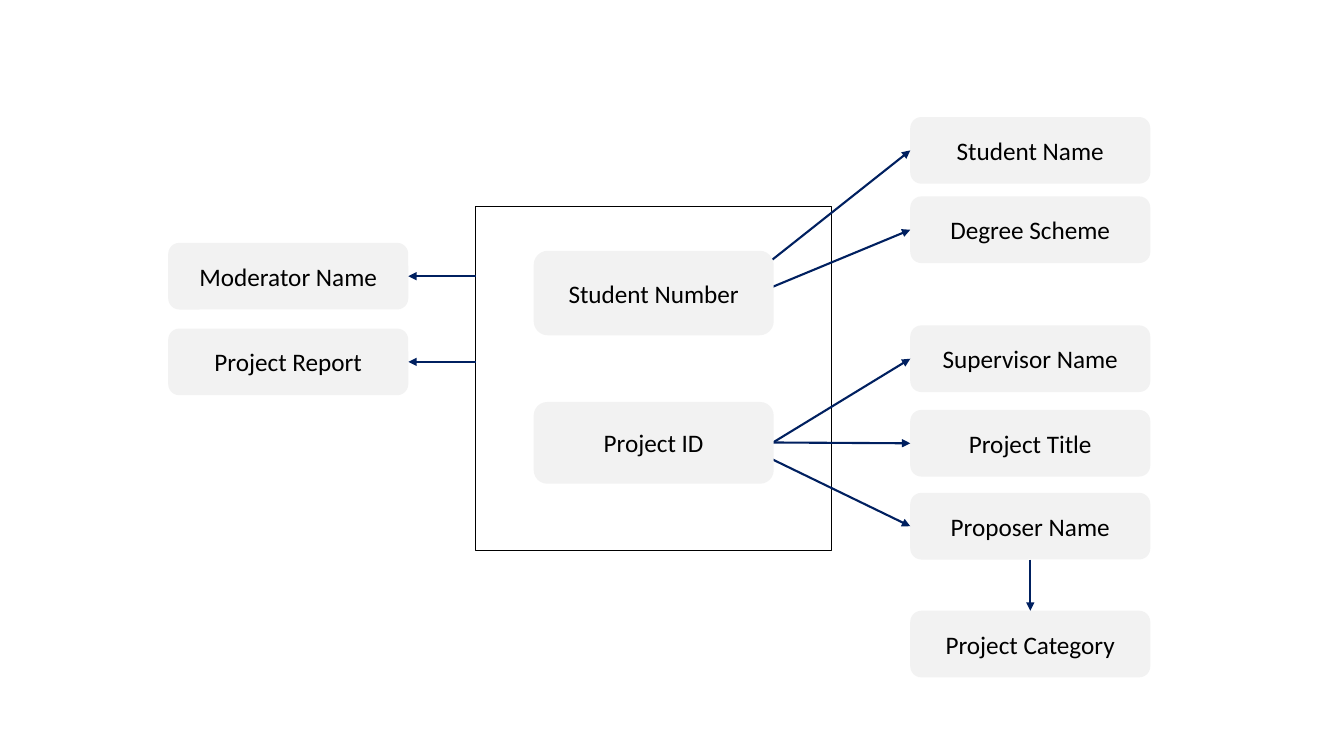
"""Build a dependency diagram of student and project attributes."""
from lxml import etree
from pptx import Presentation
from pptx import util as u
from pptx.dml.color import RGBColor
from pptx.enum import shapes, text
from pptx.oxml.ns import qn

COLOURS = {"box": "F2F2F2", "text": "000000", "frame": "000000", "arrow": "002060"}
BOX_W, BOX_H = 6.05, 1.68
LEFT_X, FRAME_X, KEY_X, RIGHT_X = 4.24, 11.99, 13.45, 22.94

DETERMINED_BY_BOTH = {"Moderator Name": 6.12, "Project Report": 8.28}
KEYS = [("Project ID", 10.13, 2.06), ("Student Number", 6.32, 2.13)]
DETERMINED_BY_ONE = [
    ("Student Name", 2.95, (19, 6.91)),
    ("Degree Scheme", 4.95, (19.2, 7.34)),
    ("Supervisor Name", 8.2, (19.48, 11.15)),
    ("Project Title", 10.33, (19.48, 11.15)),
    ("Proposer Name", 12.42, (19, 11.35)),
]
CATEGORY_Y = 15.39


def rgb(name):
    """Return the named colour."""
    return RGBColor.from_string(COLOURS[name])


def add_frame(s, x, y, w, h):
    """Draw the outline around the composite key."""
    sp = s.shapes.add_shape(shapes.MSO_SHAPE.RECTANGLE, u.Cm(x), u.Cm(y), u.Cm(w), u.Cm(h))
    sp.shadow.inherit = False
    sp.fill.background()
    sp.line.color.rgb = rgb("frame")
    sp.line.width = u.Pt(1)


def add_box(s, label, x, y, h=BOX_H):
    """Draw a rounded attribute box with a centred label."""
    sp = s.shapes.add_shape(
        shapes.MSO_SHAPE.ROUNDED_RECTANGLE, u.Cm(x), u.Cm(y), u.Cm(BOX_W), u.Cm(h))
    sp.shadow.inherit = False
    sp.fill.solid()
    sp.fill.fore_color.rgb = rgb("box")
    sp.line.fill.background()
    tf = sp.text_frame
    tf.word_wrap = True
    tf.vertical_anchor = text.MSO_ANCHOR.MIDDLE
    p = tf.paragraphs[0]
    p.text = label
    p.alignment = text.PP_ALIGN.CENTER
    p.font.name = "Calibri"
    p.font.size = u.Pt(18)
    p.font.color.rgb = rgb("text")


def add_arrow(s, start, end):
    """Draw a straight arrow from start to end."""
    points = [u.Cm(v) for v in (*start, *end)]
    line = s.shapes.add_connector(shapes.MSO_CONNECTOR.STRAIGHT, *points)
    line.line.color.rgb = rgb("arrow")
    line.line.width = u.Pt(1.5)
    etree.SubElement(line.line._get_or_add_ln(), qn("a:tailEnd"), type="triangle")
    etree.SubElement(line._element.spPr, qn("a:effectLst"))


def main():
    """Build and save the slide."""
    prs = Presentation()
    prs.slide_width, prs.slide_height = u.Cm(33.87), u.Cm(19.05)
    s = prs.slides.add_slide(prs.slide_layouts[6])

    add_frame(s, FRAME_X, 5.21, 8.97, 8.66)
    for label, y in DETERMINED_BY_BOTH.items():
        middle = y + BOX_H / 2
        add_box(s, label, LEFT_X, y)
        add_arrow(s, (FRAME_X, middle), (LEFT_X + BOX_W, middle))
    for label, y, start in DETERMINED_BY_ONE:
        add_box(s, label, RIGHT_X, y)
        add_arrow(s, start, (RIGHT_X, y + BOX_H / 2))
    for label, y, h in KEYS:
        add_box(s, label, KEY_X, y, h)

    proposer_y = DETERMINED_BY_ONE[-1][1]
    centre = RIGHT_X + BOX_W / 2
    add_box(s, "Project Category", RIGHT_X, CATEGORY_Y)
    add_arrow(s, (centre, proposer_y + BOX_H), (centre, CATEGORY_Y))
    prs.save("out.pptx")


main()
